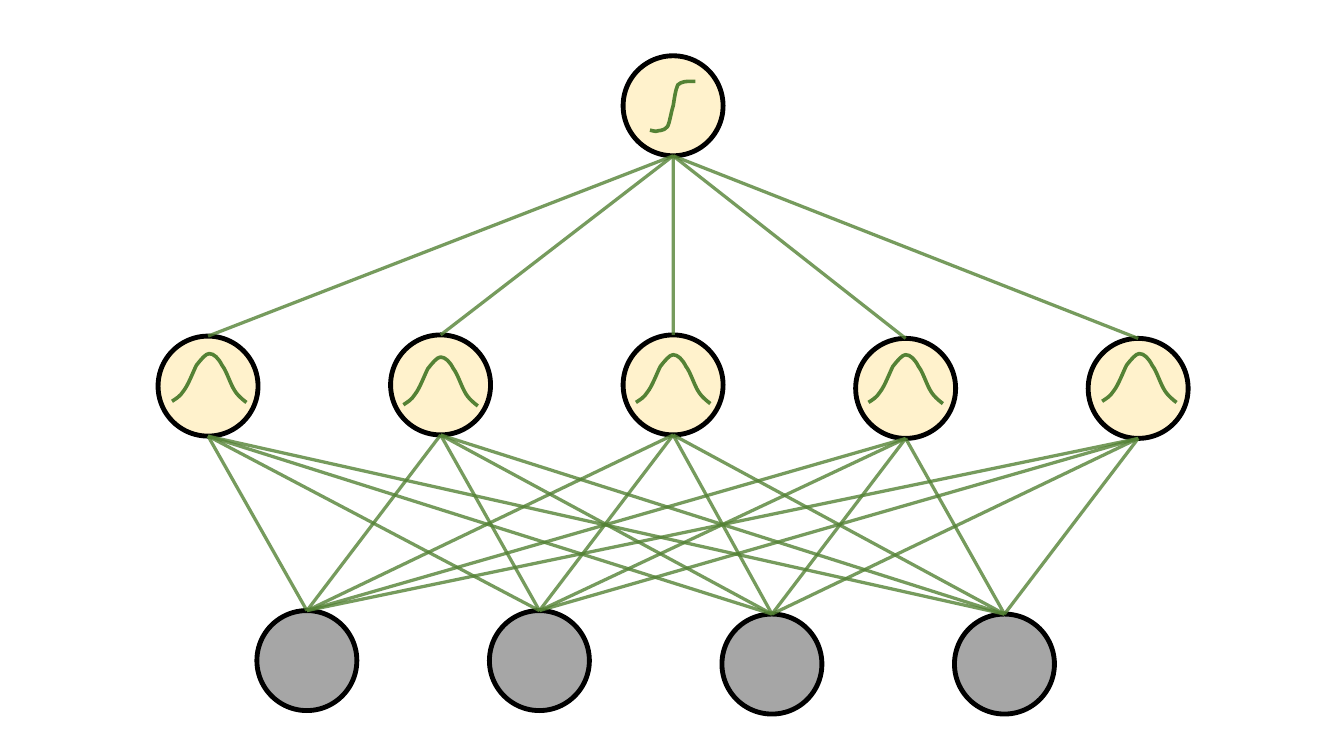
from itertools import product

from lxml.etree import SubElement
from pptx import Presentation
from pptx.dml.color import RGBColor
from pptx.enum.shapes import MSO_CONNECTOR, MSO_SHAPE
from pptx.oxml.ns import qn
from pptx.util import Inches, Pt

COLORS = {"cream": "FFF2CC", "gray": "A6A6A6", "green": "548235", "black": "000000"}
SIZE = 0.86
STEP = 2
TOP = (5.79, 0.48)
HIDDEN = [(1.79 + STEP * i, y) for i, y in enumerate((2.89, 2.88, 2.88, 2.91, 2.91))]
INPUTS = [(2.64 + STEP * i, y) for i, y in enumerate((5.25, 5.25, 5.28, 5.28))]
BELLS = [(1.48, 3.04), (3.47, 3.07), (5.47, 3.05), (7.47, 3.05), (9.48, 3.04)]

# Bezier points, measured from the top left of each curve
BELL = [(0, 0.41), (0.03, 0.39), (0.07, 0.37), (0.1, 0.32), (0.14, 0.27),
        (0.18, 0.16), (0.21, 0.1), (0.25, 0.05), (0.29, 0), (0.32, 0),
        (0.36, 0), (0.4, 0.04), (0.43, 0.1), (0.47, 0.15), (0.5, 0.26),
        (0.54, 0.32), (0.57, 0.37), (0.64, 0.42), (0.64, 0.42)]
SIGMOID = [(0, 0.42), (0.02, 0.43), (0.03, 0.43), (0.05, 0.43), (0.07, 0.42),
           (0.12, 0.43), (0.15, 0.39), (0.17, 0.36), (0.18, 0.27), (0.2, 0.21),
           (0.21, 0.15), (0.22, 0.07), (0.24, 0.03), (0.27, 0), (0.32, 0),
           (0.34, 0), (0.37, 0), (0.39, 0), (0.39, 0)]


def bend(shape):
    """Turn each three line segments of a freeform into one cubic Bezier."""
    track = shape._element.spPr.find(".//" + qn("a:path"))
    lines = track.findall(qn("a:lnTo"))
    for i in range(0, len(lines), 3):
        cubic = SubElement(track, qn("a:cubicBezTo"))
        for line in lines[i:i + 3]:
            cubic.append(line[0])
            track.remove(line)


class Net:
    def __init__(self, slide):
        self.shapes = slide.shapes

    def paint(self, shape, fill, line, width):
        shape.shadow.inherit = False
        shape.fill.solid()
        shape.fill.fore_color.rgb = RGBColor.from_string(COLORS[fill])
        shape.line.color.rgb = RGBColor.from_string(COLORS[line])
        shape.line.width = Pt(width)

    def node(self, center, top, fill):
        shape = self.shapes.add_shape(
            MSO_SHAPE.OVAL, Inches(center - SIZE / 2), Inches(top),
            Inches(SIZE), Inches(SIZE))
        self.paint(shape, fill, "black", 3)

    def curve(self, left, top, points):
        start, *rest = [(Inches(left + x), Inches(top + y)) for x, y in points]
        builder = self.shapes.build_freeform(*start)
        builder.add_line_segments(rest, close=False)
        shape = builder.convert_to_shape()
        bend(shape)
        self.paint(shape, "cream", "green", 2.25)

    def link(self, lower, upper):
        """Join the top of the lower node to the bottom of the upper one."""
        line = self.shapes.add_connector(
            MSO_CONNECTOR.STRAIGHT, Inches(lower[0]), Inches(lower[1]),
            Inches(upper[0]), Inches(upper[1] + SIZE))
        line.line.color.rgb = RGBColor.from_string(COLORS["green"])
        line.line.width = Pt(2)
        props = line._element.spPr
        color = props.find(".//" + qn("a:srgbClr"))
        SubElement(color, qn("a:alpha"), val="80000")
        SubElement(props, qn("a:effectLst"))


def main():
    deck = Presentation()
    deck.slide_width, deck.slide_height = Inches(11.56), Inches(6.5)
    net = Net(deck.slides.add_slide(deck.slide_layouts[6]))

    net.node(*TOP, "cream")
    for spot in INPUTS:
        net.node(*spot, "gray")
    for spot in HIDDEN:
        net.node(*spot, "cream")

    for spot in BELLS:
        net.curve(*spot, BELL)
    net.curve(5.59, 0.7, SIGMOID)

    for lower, upper in product(INPUTS, HIDDEN):
        net.link(lower, upper)
    for spot in HIDDEN:
        net.link(spot, TOP)

    deck.save("out.pptx")


if __name__ == "__main__":
    main()
